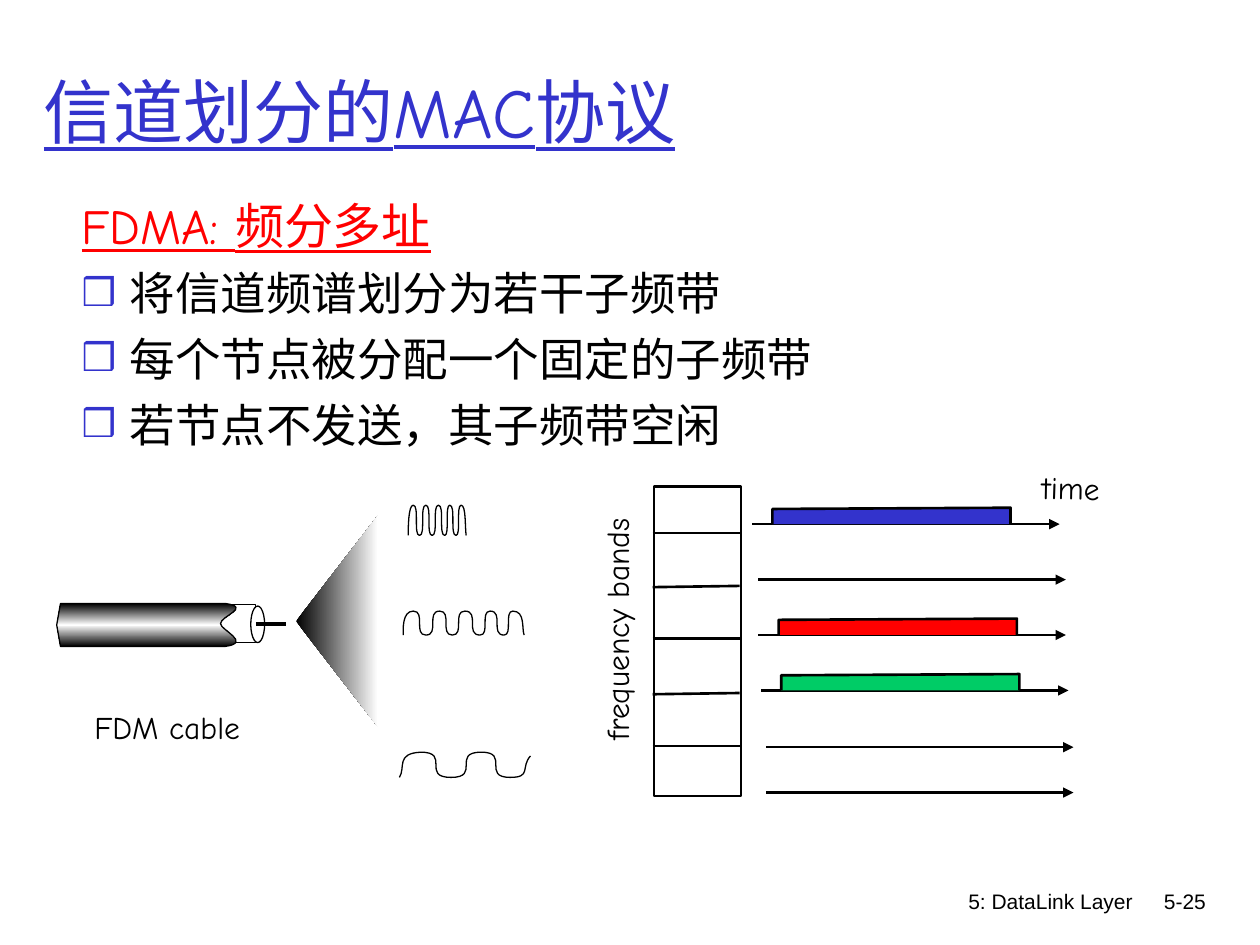
from lxml.etree import SubElement
from pptx import Presentation
from pptx.dml.color import RGBColor
from pptx.enum.shapes import MSO_CONNECTOR, MSO_SHAPE
from pptx.enum.text import MSO_ANCHOR, MSO_AUTO_SIZE, PP_ALIGN
from pptx.oxml.ns import qn
from pptx.util import Inches, Pt

BLACK, WHITE, BLUE, RED, GREEN = "000000", "FFFFFF", "3333CC", "FF0000", "00CC66"


def color(value):
    return RGBColor.from_string(value)


class SlideBuilder:
    """Draws styled elements on the current slide."""

    hand_font = "Comic Neue"
    plain_font = "Arial"

    def __init__(self, page):
        self.page = page

    def text(self, lines, left, top, width, height, size, font=hand_font, ink=BLACK,
             align=PP_ALIGN.LEFT, anchor=MSO_ANCHOR.TOP, underline=False, wrap=True, rotation=0):
        box = self.page.shapes.add_textbox(Inches(left), Inches(top), Inches(width), Inches(height))
        box.rotation = rotation
        frame = box.text_frame
        frame.text = "\n".join(lines)
        frame.word_wrap = wrap
        frame.auto_size = MSO_AUTO_SIZE.NONE if wrap else MSO_AUTO_SIZE.SHAPE_TO_FIT_TEXT
        frame.vertical_anchor = anchor
        for para in frame.paragraphs:
            para.alignment = align
            self.format(para, size, font, ink, underline)
        return frame

    def format(self, para, size, font, ink, underline=False):
        for span in para.runs:
            span.font.size = Pt(size)
            span.font.name = font
            span.font.color.rgb = color(ink)
            span.font.underline = underline

    def bullet(self, para):
        para.space_before = Pt(6.5)
        properties = para._p.get_or_add_pPr()
        properties.set("marL", str(Inches(0.38)))
        properties.set("indent", str(-Inches(0.38)))
        tint = SubElement(properties, qn("a:buClr"))
        SubElement(tint, qn("a:srgbClr"), val=BLUE)
        SubElement(properties, qn("a:buSzPct"), val="85000")
        SubElement(properties, qn("a:buFont"), typeface=self.plain_font)
        SubElement(properties, qn("a:buChar"), char="❒")

    def paint(self, shape, fill, line):
        shape.shadow.inherit = False
        if fill:
            shape.fill.solid()
            shape.fill.fore_color.rgb = color(fill)
        else:
            shape.fill.background()
        if line:
            shape.line.color.rgb = color(BLACK)
            shape.line.width = Pt(line)
        else:
            shape.line.fill.background()

    def shape(self, kind, left, top, width, height, fill, line):
        shape = self.page.shapes.add_shape(
            kind, Inches(left), Inches(top), Inches(width), Inches(height))
        self.paint(shape, fill, line)

    def outline(self, start, segments, fill=None, line=0.75, close=False):
        builder = self.page.shapes.build_freeform(Inches(start[0]), Inches(start[1]))
        points = [(Inches(x), Inches(y)) for segment in segments for x, y in segment]
        builder.add_line_segments(points, close=close)
        shape = builder.convert_to_shape()
        nodes = iter(list(shape._element.iter(qn("a:lnTo"))))
        for segment in segments:
            self.bend([next(nodes) for _ in segment])
        self.paint(shape, fill, line)
        return shape

    def bend(self, nodes):
        first, *others = nodes
        if others:
            bezier = SubElement(first.getparent(), qn("a:cubicBezTo"))
            first.addprevious(bezier)
            for node in nodes:
                bezier.append(node[0])
                node.getparent().remove(node)

    def gradient(self, shape, stops, angle):
        shape.fill.gradient()
        shape.fill.gradient_angle = angle
        stop_list = shape._element.spPr.find(qn("a:gradFill")).find(qn("a:gsLst"))
        for stop in list(stop_list):
            stop_list.remove(stop)
        for position, tint in stops:
            stop = SubElement(stop_list, qn("a:gs"), pos=str(position * 1000))
            SubElement(stop, qn("a:srgbClr"), val=tint)

    def line(self, left, right, y, rise=0, width=1.5, arrow=False):
        line = self.page.shapes.add_connector(
            MSO_CONNECTOR.STRAIGHT, Inches(left), Inches(y), Inches(right), Inches(y - rise))
        line.line.color.rgb = color(BLACK)
        line.line.width = Pt(width)
        if arrow:
            SubElement(line.line._get_or_add_ln(), qn("a:tailEnd"), type="triangle")
        SubElement(line._element.spPr, qn("a:effectLst"))

    def wave(self, xs, top, bottom, opening, closing):
        knots = [(x, top if index % 2 else bottom) for index, x in enumerate(xs)]
        middle = [((x1, y0), (x0, y1), (x1, y1))
                  for (x0, y0), (x1, y1) in zip(knots[1:], knots[2:])]
        self.outline(knots[0], [(*opening, knots[1]), *middle, closing])


def add_wording(slide):
    for label, left, width in (("5: DataLink Layer", 5.92, 3.17), ("5-25", 8.93, 0.74)):
        slide.text([label], left, 7, width, 0.5, 12, slide.plain_font, align=PP_ALIGN.RIGHT)
    slide.text(["信道划分的MAC协议"], 0.25, 0.25, 9.44, 1.25, 40, ink=BLUE,
               anchor=MSO_ANCHOR.MIDDLE, underline=True)
    body = slide.text(
        ["FDMA: 频分多址", "将信道频谱划分为若干子频带", "每个节点被分配一个固定的子频带",
         "若节点不发送，其子频带空闲"], 0.55, 1.5, 8.99, 5.08, 26)
    heading, *items = body.paragraphs
    heading.space_before = Pt(7)
    slide.format(heading, 28, slide.hand_font, RED, True)
    for para in items:
        slide.bullet(para)


def add_bands(slide):
    slide.shape(MSO_SHAPE.RECTANGLE, 5.19, 3.86, 0.69, 2.46, WHITE, 1.5)
    for y, rise in ((4.23, 0), (4.66, 0.01), (5.07, 0), (5.51, 0.01), (5.92, 0)):
        slide.line(5.18, 5.87, y, rise)
    axes = ((5.97, 4.16, BLUE), (6.02, 4.6, None), (6.02, 5.04, RED),
            (6.04, 5.48, GREEN), (6.08, 5.93, None), (6.08, 6.29, None))
    for left, y, fill in axes:
        slide.line(left, left + 2.44, y, arrow=True)
        if fill:
            start, end, top = left + 0.16, left + 2.05, y - 0.13
            corners = [(start, top + 0.01), (end, top), (end, y)]
            slide.outline((start, y), [[corner] for corner in corners], fill, 1.5)
    slide.text(["frequency bands"], 3.91, 4.79, 1.97, 0.4, 18, wrap=False, rotation=270)
    slide.text(["time"], 8.17, 3.67, 0.66, 0.4, 18, wrap=False, rotation=1.1)


def add_cable(slide):
    beam = slide.outline((3, 4.09), [[(2.35, 4.93)], [(3, 5.77)]], line=None, close=True)
    slide.gradient(beam, [(0, BLACK), (100, WHITE)], 0)
    slide.shape(MSO_SHAPE.RECTANGLE, 1.74, 4.8, 0.29, 0.3, WHITE, 0.75)
    edge = [[(0.45, 4.96)], [(0.48, 5.13)], [(1.79, 5.13)],
            [(2, 5.1), (1.75, 5), (1.75, 4.95)], [(1.75, 4.89), (2, 4.82), (1.79, 4.79)]]
    jacket = slide.outline((0.48, 4.79), edge, close=True)
    slide.gradient(jacket, [(0, BLACK), (50, WHITE), (100, BLACK)], 270)
    slide.shape(MSO_SHAPE.OVAL, 1.99, 4.81, 0.11, 0.29, WHITE, 0.75)
    slide.line(2.03, 2.27, 4.95, width=2.25)
    slide.wave([3.2, 3.28, 3.38, 3.49, 3.59, 3.69, 3.81, 3.89, 4, 4.07], 4.85, 5.04,
               [(3.2, 5), (3.19, 4.85)], [(4.17, 4.85), (4.14, 4.99), (4.16, 5.04)])
    slide.wave([3.24, 3.28, 3.33, 3.38, 3.43, 3.48, 3.53, 3.57, 3.62, 3.66], 4.01, 4.25,
               [(3.24, 4.2), (3.24, 4.01)], [(3.7, 4.01), (3.69, 4.18), (3.7, 4.25)])
    slide.wave([3.17, 3.34, 3.58, 3.82, 4.05], 5.97, 6.17,
               [(3.22, 6.09), (3.14, 5.98)], [(4.22, 6.17), (4.13, 6.09), (4.21, 6)])
    slide.text(["FDM cable"], 0.65, 5.57, 1.36, 0.4, 18, wrap=False)


def main():
    deck = Presentation()
    deck.slide_width, deck.slide_height = Inches(10), Inches(7.5)
    slide = SlideBuilder(deck.slides.add_slide(deck.slide_layouts[6]))
    add_wording(slide)
    add_bands(slide)
    add_cable(slide)
    deck.save("out.pptx")


if __name__ == "__main__":
    main()
